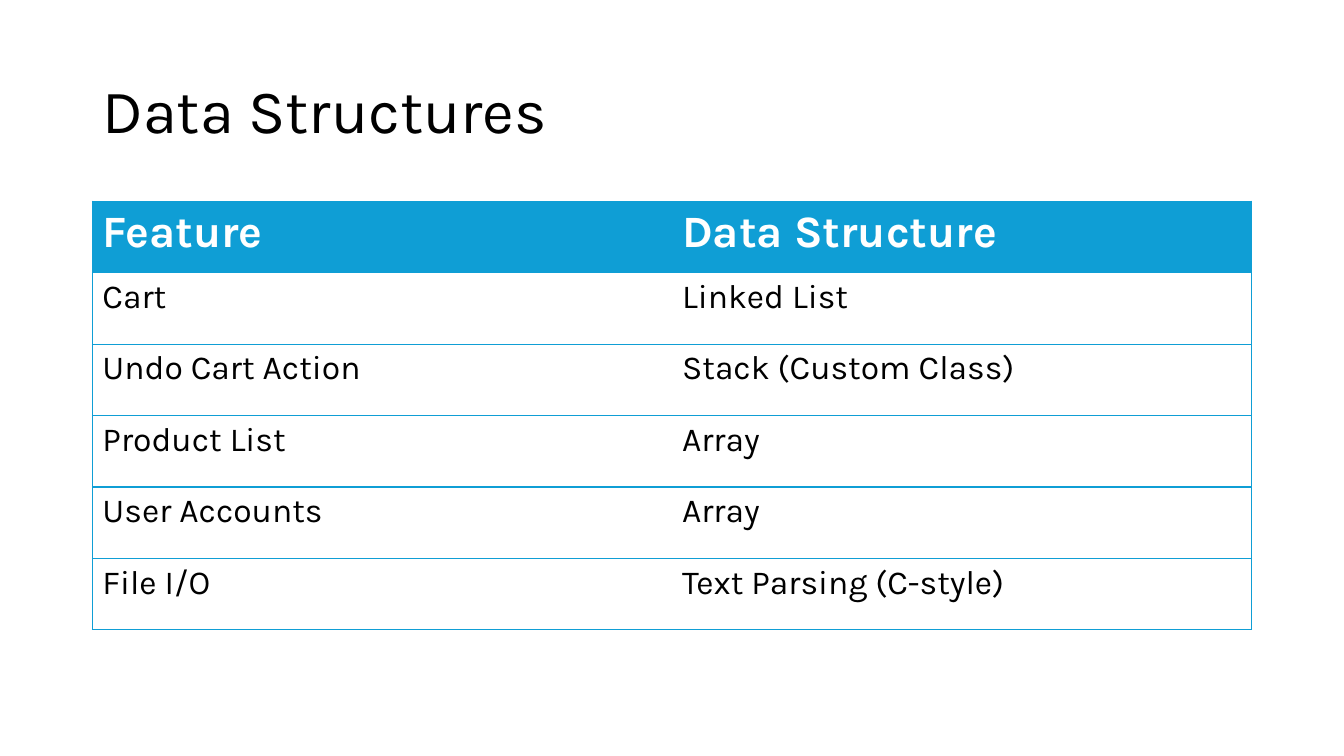
from lxml.etree import SubElement
from pptx import Presentation
from pptx.dml.color import RGBColor
from pptx.enum.text import MSO_ANCHOR, MSO_AUTO_SIZE, PP_ALIGN
from pptx.oxml import parse_xml
from pptx.oxml.ns import nsdecls, qn
from pptx.util import Pt

TITLE = "Data Structures"
ROWS = [
    ("Feature", "Data Structure"),
    ("Cart", "Linked List"),
    ("Undo Cart Action", "Stack (Custom Class)"),
    ("Product List", "Array"),
    ("User Accounts", "Array"),
    ("File I/O", "Text Parsing (C-style)"),
]

FONT = "Karla"
BLUE = RGBColor(0x0F, 0x9E, 0xD5)
BLACK = RGBColor(0, 0, 0)
WHITE = RGBColor(255, 255, 255)

LEFT, WIDTH = 66, 828
TITLE_TOP, TITLE_HEIGHT = 28.75, 104.4
TABLE_TOP, ROW_HEIGHT = 143.75, 51.05
BORDER_WIDTH = 1


def write_text(frame, text, size, color=BLACK, bold=False, line_spacing=None):
    paragraph = frame.paragraphs[0]
    paragraph.alignment = PP_ALIGN.LEFT
    paragraph.line_spacing = line_spacing
    run = paragraph.add_run()
    run.text = text
    run.font.name = FONT
    run.font.size = Pt(size)
    run.font.bold = bold
    run.font.color.rgb = color


def set_borders(cell, visible_sides):
    """Draw the named sides (L, R, T, B) in blue and hide the others."""
    properties = cell._tc.get_or_add_tcPr()
    for index, side in enumerate("LRTB"):
        line = parse_xml(f'<a:ln{side} {nsdecls("a")} w="{Pt(BORDER_WIDTH)}"/>')
        if side in visible_sides:
            fill = SubElement(line, qn("a:solidFill"))
            SubElement(fill, qn("a:srgbClr"), val=str(BLUE))
        else:
            SubElement(line, qn("a:noFill"))
        properties.insert(index, line)


def add_title(slide):
    title = slide.shapes.title
    title.left, title.top = Pt(LEFT), Pt(TITLE_TOP)
    title.width, title.height = Pt(WIDTH), Pt(TITLE_HEIGHT)
    frame = title.text_frame
    frame.auto_size = MSO_AUTO_SIZE.NONE
    frame.vertical_anchor = MSO_ANCHOR.MIDDLE
    write_text(frame, TITLE, size=44, line_spacing=0.9)


def add_structure_table(slide):
    column_count = len(ROWS[0])
    table = slide.shapes.add_table(
        len(ROWS), column_count, Pt(LEFT), Pt(TABLE_TOP),
        Pt(WIDTH), Pt(ROW_HEIGHT * len(ROWS))).table
    for row_index, texts in enumerate(ROWS):
        table.rows[row_index].height = Pt(ROW_HEIGHT)
        header = row_index == 0
        for column_index, text in enumerate(texts):
            cell = table.cell(row_index, column_index)
            if header:
                cell.fill.solid()
                cell.fill.fore_color.rgb = BLUE
            else:
                cell.fill.background()
            outer_side = {0: "L", column_count - 1: "R"}.get(column_index, "")
            set_borders(cell, "TB" + outer_side)
            write_text(cell.text_frame, text, size=32 if header else 24,
                       color=WHITE if header else BLACK, bold=header)


def main():
    presentation = Presentation()
    presentation.slide_width, presentation.slide_height = Pt(960), Pt(540)
    slide = presentation.slides.add_slide(presentation.slide_layouts[5])
    add_title(slide)
    add_structure_table(slide)
    presentation.save("out.pptx")


if __name__ == "__main__":
    main()
